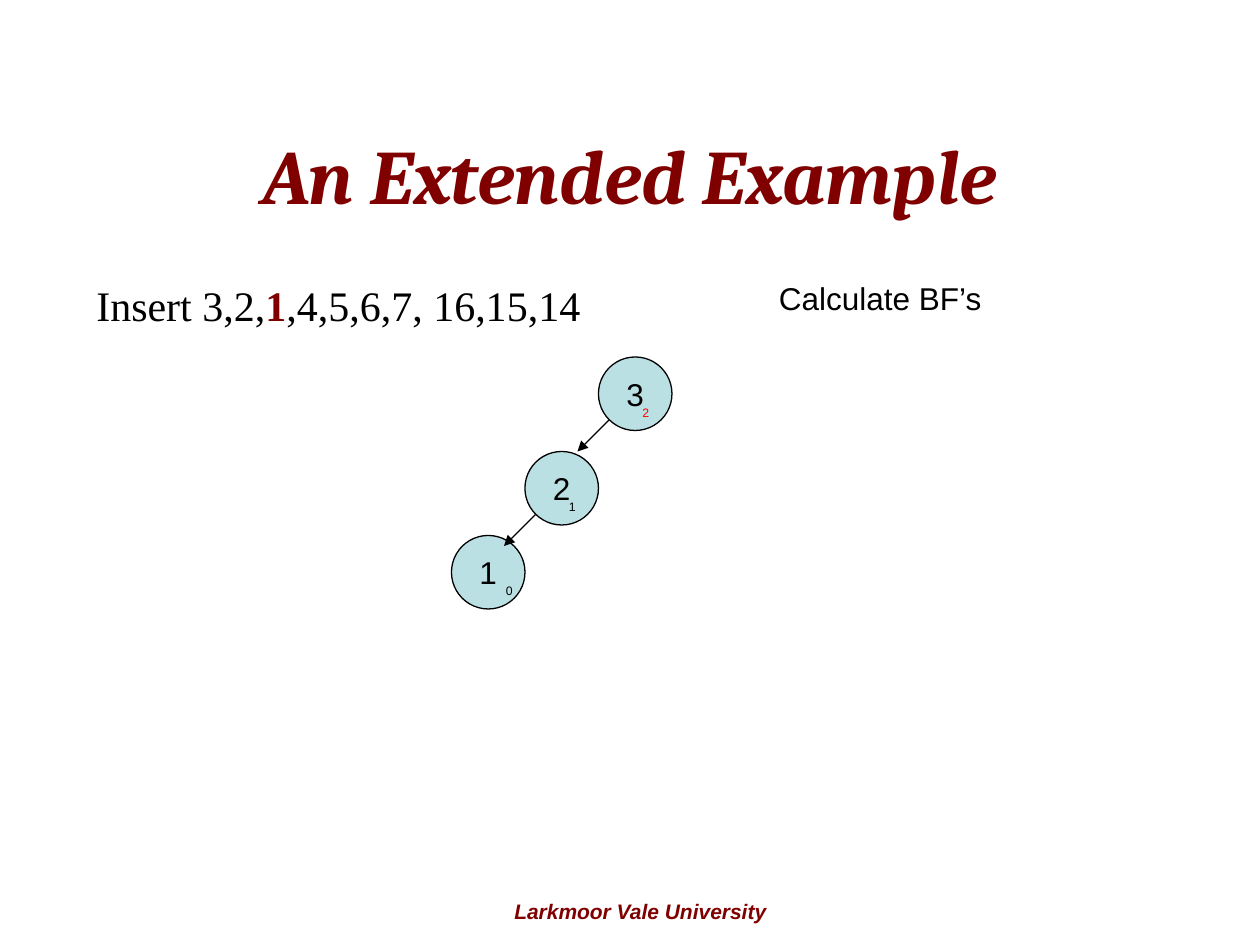
from lxml import etree
from pptx import Presentation
from pptx.dml.color import RGBColor
from pptx.enum.shapes import MSO_CONNECTOR, MSO_SHAPE
from pptx.enum.text import MSO_ANCHOR, PP_ALIGN
from pptx.oxml.ns import qn
from pptx.util import Inches, Pt

OVAL, LINE = MSO_SHAPE.OVAL, MSO_CONNECTOR.STRAIGHT
MIDDLE, LEFT, CENTER = MSO_ANCHOR.MIDDLE, PP_ALIGN.LEFT, PP_ALIGN.CENTER
BLACK, MAROON, RED, TEAL = "000000", "800000", "FF0000", "BBE0E3"
UNIT = Inches(1) / 12


def grid(*cells):
    return [round(c * UNIT) for c in cells]


def write(sp, runs, size, font="Arial", align=LEFT, before=0, wrap=True, **style):
    tf = sp.text_frame
    tf.word_wrap = wrap
    p = tf.paragraphs[0]
    p.alignment, p.space_before = align, Pt(before)
    for text, color, bold in runs:
        r = p.add_run()
        r.text = text
        r.font.color.rgb = RGBColor.from_string(color)
        formats = {"name": font, "size": Pt(size), "bold": bold, **style}
        for name, value in formats.items():
            setattr(r.font, name, value)


prs = Presentation()
prs.slide_width, prs.slide_height = grid(120, 90)
s = prs.slides.add_slide(prs.slide_layouts[5])

title = s.shapes.title
title.left, title.top, title.width, title.height = grid(6, 9, 108, 15)
title.text_frame.vertical_anchor = MIDDLE
write(title, [("An Extended Example", MAROON, True)], 44, "Cambria", CENTER, italic=True)

sequence = [("Insert 3,2,", BLACK, False), ("1", MAROON, True),
            (",4,5,6,7, 16,15,14", BLACK, False)]
captions = [
    ((42, 85, 38, 3.6), [("Larkmoor Vale University", MAROON, True)], 12,
     {"align": CENTER, "before": 7.5, "italic": True}),
    ((8, 26, 85, 6), sequence, 24, {"font": "Times New Roman", "before": 15}),
    ((73, 26, 40, 4.8), [("Calculate BF’s", BLACK, False)], 18, {"before": 11.2}),
]
for box, runs, size, style in captions:
    write(s.shapes.add_textbox(*grid(*box)), runs, size, **style)

nodes = [("3", 57, 34, "2", RED, 3), ("2", 50, 43, "1", BLACK, 3), ("1", 43, 51, "0", BLACK, 4)]
for key, x, y, factor, color, inset in nodes:
    sp = s.shapes.add_shape(OVAL, *grid(x, y, 7, 7))
    sp.shadow.inherit = False
    sp.fill.solid()
    sp.fill.fore_color.rgb = RGBColor.from_string(TEAL)
    sp.line.color.rgb = RGBColor.from_string(BLACK)
    sp.line.width = Pt(0.74)
    sp.text_frame.vertical_anchor = MIDDLE
    write(sp, [(key, BLACK, False)], 18, align=CENTER, wrap=False)
    label = s.shapes.add_textbox(*grid(x + inset, y + 4, 7 - inset, 2.6))
    write(label, [(factor, color, False)], 7, before=4.4)

for key, x, y, *rest in nodes[:-1]:
    arrow = s.shapes.add_connector(LINE, *grid(x + 1, y + 6, x - 2, y + 9))
    arrow.line.color.rgb = RGBColor.from_string(BLACK)
    arrow.line.width = Pt(0.74)
    etree.SubElement(arrow.line._get_or_add_ln(), qn("a:tailEnd"), type="triangle")
    etree.SubElement(arrow._element.spPr, qn("a:effectLst"))

prs.save("out.pptx")
